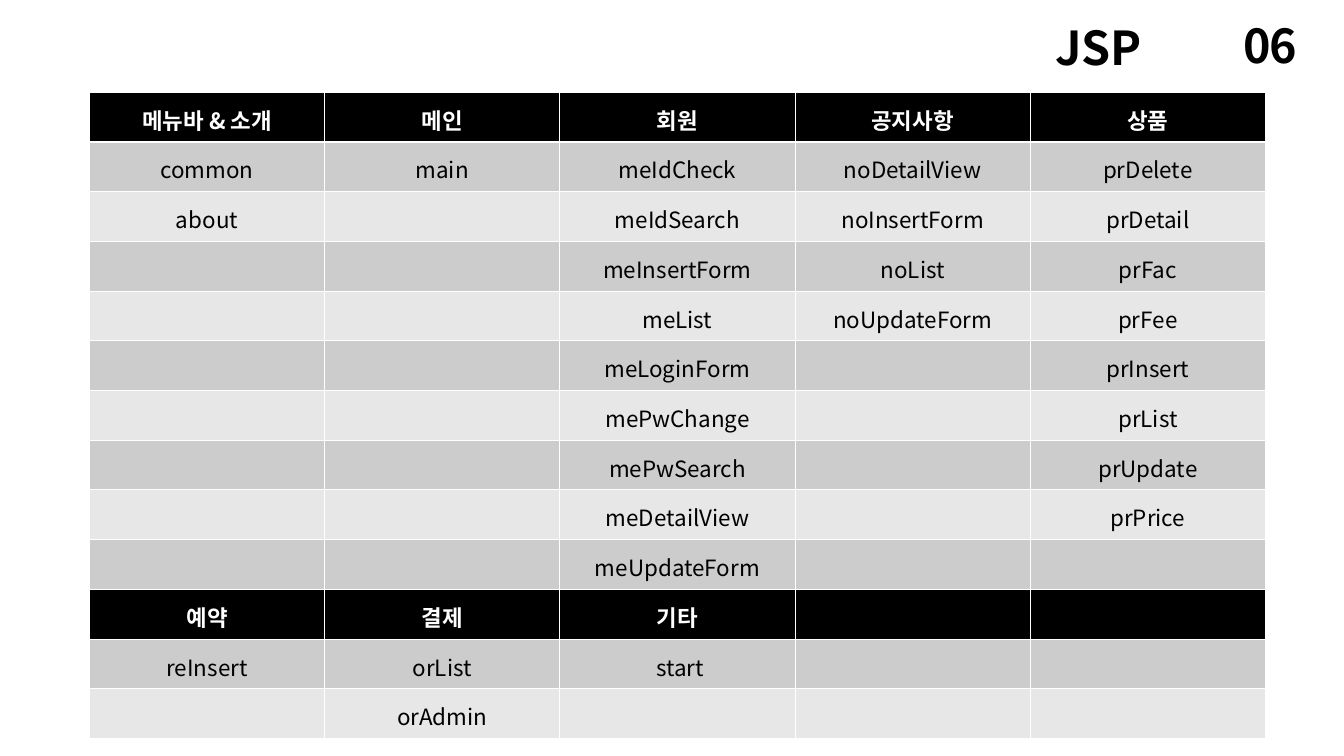
from dataclasses import dataclass

from lxml.etree import SubElement
from pptx import Presentation
from pptx.dml.color import RGBColor
from pptx.enum.text import MSO_ANCHOR, MSO_AUTO_SIZE, PP_ALIGN
from pptx.oxml import parse_xml
from pptx.oxml.ns import nsdecls, qn
from pptx.util import Cm, Pt


@dataclass(frozen=True)
class Theme:
    font: str = "Noto Sans CJK KR"
    black: str = "000000"
    white: str = "FFFFFF"
    dark_band: str = "CCCCCC"
    light_band: str = "E7E7E7"
    heading_size: int = 50
    table_size: int = 24
    rule: int = 1
    header_rule: int = 3


theme = Theme()


def style_text(text_frame, size, color, bold, alignment, line_spacing):
    """Format every paragraph and run of a text frame."""
    for paragraph in text_frame.paragraphs:
        paragraph.alignment = alignment
        paragraph.line_spacing = line_spacing
        for run in paragraph.runs:
            run.font.name = theme.font
            run.font.size = Pt(size)
            run.font.bold = bold
            run.font.color.rgb = RGBColor.from_string(color)
            SubElement(run.font._element, qn("a:ea")).set("typeface", theme.font)


def set_borders(cell, widths):
    """Draw white cell borders; widths maps each side to points."""
    properties = cell._tc.get_or_add_tcPr()
    for position, (side, width) in enumerate(widths.items()):
        properties.insert(position, parse_xml(
            f'<a:ln{side} {nsdecls("a")} w="{Pt(width)}"><a:solidFill>'
            f'<a:srgbClr val="{theme.white}"/></a:solidFill></a:ln{side}>'))


presentation = Presentation()
presentation.slide_width = Cm(50.8)
presentation.slide_height = Cm(28.58)
slide = presentation.slides.add_slide(presentation.slide_layouts[5])

# Title and page number
title = slide.shapes.title
title.left, title.top, title.width, title.height = Cm(22.23), Cm(0.84), Cm(21.59), Cm(2.64)
page_number = slide.shapes.add_textbox(Cm(46.76), Cm(0.74), Cm(3.76), Cm(3.91))
for shape, text, alignment in (
    (title, "JSP", PP_ALIGN.RIGHT),
    (page_number, "06", PP_ALIGN.JUSTIFY),
):
    text_frame = shape.text_frame
    text_frame.text = text
    text_frame.word_wrap = True
    text_frame.auto_size = MSO_AUTO_SIZE.NONE
    text_frame.vertical_anchor = MSO_ANCHOR.TOP
    style_text(text_frame, theme.heading_size, theme.black, True, alignment, 0.9)
title.text_frame.margin_right = Cm(0.65)
page_number.text_frame.paragraphs[0].runs[0].font._element.set("spc", "-200")

# Table of JSP files by section
rows = [
    ["메뉴바 & 소개", "메인", "회원", "공지사항", "상품"],
    ["common", "main", "meIdCheck", "noDetailView", "prDelete"],
    ["about", "", "meIdSearch", "noInsertForm", "prDetail"],
    ["", "", "meInsertForm", "noList", "prFac"],
    ["", "", "meList", "noUpdateForm", "prFee"],
    ["", "", "meLoginForm", "", "prInsert"],
    ["", "", "mePwChange", "", "prList"],
    ["", "", "mePwSearch", "", "prUpdate"],
    ["", "", "meDetailView", "", "prPrice"],
    ["", "", "meUpdateForm", "", ""],
    ["예약", "결제", "기타", "", ""],
    ["reInsert", "orList", "\u00a0start", "", ""],
    ["", "orAdmin", "", "", ""],
]
header_rows = (0, 10)
column_width, row_height = Cm(8.89), Cm(1.88)
table = slide.shapes.add_table(
    len(rows), len(rows[0]), Cm(3.38), Cm(3.48),
    column_width * len(rows[0]), row_height * len(rows)).table
table.first_row = False
table.horz_banding = False
for column in table.columns:
    column.width = column_width

for row_index, texts in enumerate(rows):
    table.rows[row_index].height = row_height
    is_header = row_index in header_rows
    band = theme.dark_band if row_index % 2 else theme.light_band
    borders = {
        "L": theme.rule,
        "R": theme.rule,
        "T": theme.header_rule if row_index == 1 else theme.rule,
        "B": theme.header_rule if row_index == 0 else theme.rule,
    }
    for column_index, text in enumerate(texts):
        cell = table.cell(row_index, column_index)
        cell.text = text
        cell.vertical_anchor = MSO_ANCHOR.MIDDLE
        cell.margin_left = cell.margin_right = Cm(0.18)
        cell.margin_top = cell.margin_bottom = 0
        cell.fill.solid()
        cell.fill.fore_color.rgb = RGBColor.from_string(theme.black if is_header else band)
        set_borders(cell, borders)
        style_text(cell.text_frame, theme.table_size,
                   theme.white if is_header else theme.black,
                   is_header, PP_ALIGN.CENTER, 1.15)

presentation.save("out.pptx")
